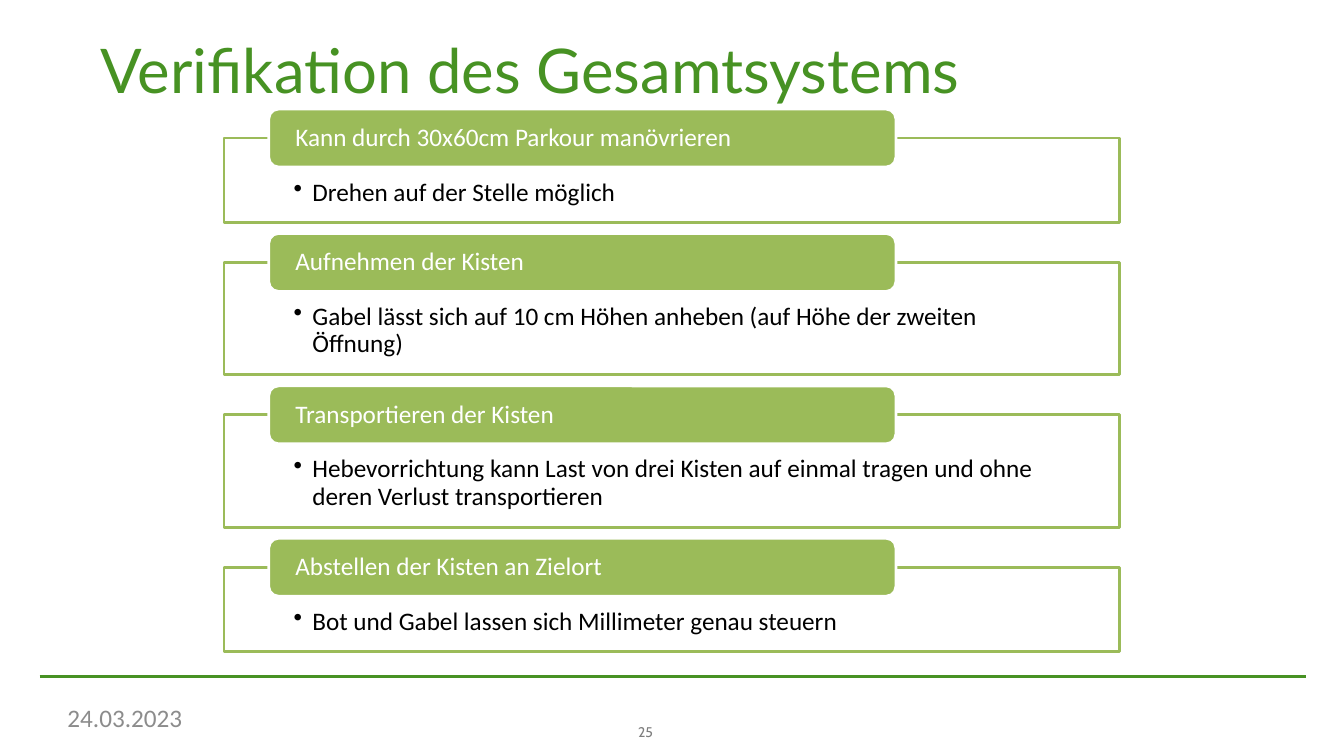
from lxml import etree
from pptx import Presentation
from pptx.dml.color import RGBColor
from pptx.enum import shapes, text
from pptx.oxml import ns
from pptx.util import Pt

TITLE = "Verifikation des Gesamtsystems"
DATE = "24.03.2023"
PAGE = "25"
CHECKS = [
    ("Kann durch 30x60cm Parkour manövrieren", "Drehen auf der Stelle möglich", 1),
    ("Aufnehmen der Kisten",
     "Gabel lässt sich auf 10 cm Höhen anheben (auf Höhe der zweiten Öffnung)", 2),
    ("Transportieren der Kisten",
     "Hebevorrichtung kann Last von drei Kisten auf einmal tragen und ohne "
     "deren Verlust transportieren", 2),
    ("Abstellen der Kisten an Zielort",
     "Bot und Gabel lassen sich Millimeter genau steuern", 1),
]

DARK_GREEN = RGBColor(0x47, 0x92, 0x23)
GREEN = RGBColor(0x9B, 0xBB, 0x59)
WHITE = RGBColor(0xFF, 0xFF, 0xFF)
BLACK = RGBColor(0, 0, 0)
DATE_GREY = RGBColor(0x8C, 0x8C, 0x8C)
PAGE_GREY = RGBColor(0x7E, 0x7E, 0x7E)

DETAIL_LEFT, DETAIL_WIDTH = 160, 640
HEADING_LEFT, HEADING_WIDTH, HEADING_HEIGHT = 192, 448, 41.4
FIRST_TOP, GAP = 98.6, 28.5
ONE_LINE, EXTRA_LINE = 60.35, 20

deck = Presentation()
deck.slide_width, deck.slide_height = Pt(960), Pt(540)
slide = deck.slides.add_slide(deck.slide_layouts[6])


def write(shape, words, size, font, color, insets=(0, 0, 0, 0),
          anchor=text.MSO_ANCHOR.TOP, bullet=False):
    frame = shape.text_frame
    frame.text = words
    frame.word_wrap = True
    frame.vertical_anchor = anchor
    (frame.margin_left, frame.margin_top,
     frame.margin_right, frame.margin_bottom) = map(Pt, insets)
    paragraph = frame.paragraphs[0]
    paragraph.alignment = text.PP_ALIGN.LEFT
    if bullet:
        properties = paragraph._p.get_or_add_pPr()
        properties.set("marL", str(Pt(13.5)))
        properties.set("indent", str(Pt(-13.5)))
        etree.SubElement(properties, ns.qn("a:buChar")).set("char", "•")
    run = paragraph.runs[0]
    run.font.size = Pt(size)
    run.font.name = font
    run.font.color.rgb = color
    return paragraph


def add_label(left, top, width, height, *style):
    write(slide.shapes.add_textbox(Pt(left), Pt(top), Pt(width), Pt(height)), *style)


def add_panel(kind, left, top, width, height, fill, line):
    panel = slide.shapes.add_shape(kind, Pt(left), Pt(top), Pt(width), Pt(height))
    panel.shadow.inherit = False
    panel.fill.solid()
    panel.fill.fore_color.rgb = fill
    panel.line.color.rgb = line
    panel.line.width = Pt(2)
    return panel


footer_rule = slide.shapes.add_connector(
    shapes.MSO_CONNECTOR.STRAIGHT, Pt(28.4), Pt(483), Pt(933), Pt(483))
footer_rule.line.color.rgb = DARK_GREEN
footer_rule.line.width = Pt(2.25)
etree.SubElement(footer_rule._element.spPr, ns.qn("a:effectLst"))

add_label(72, 23, 664, 106, TITLE, 44, "Lato", DARK_GREEN)

top = FIRST_TOP
for heading, detail, lines in CHECKS:
    height = ONE_LINE + EXTRA_LINE * (lines - 1)
    detail_box = add_panel(shapes.MSO_SHAPE.RECTANGLE, DETAIL_LEFT, top,
                           DETAIL_WIDTH, height, WHITE, GREEN)
    white_fill = detail_box._element.spPr.find(".//" + ns.qn("a:srgbClr"))
    etree.SubElement(white_fill, ns.qn("a:alpha")).set("val", "90000")
    write(detail_box, detail, 18, "Calibri", BLACK, (49.7, 29.5, 49.7, 10),
          bullet=True).line_spacing = 0.9

    heading_box = add_panel(shapes.MSO_SHAPE.ROUNDED_RECTANGLE, HEADING_LEFT,
                            top - HEADING_HEIGHT / 2, HEADING_WIDTH,
                            HEADING_HEIGHT, GREEN, WHITE)
    write(heading_box, heading, 18, "Calibri", WHITE, (17, 0, 17, 0),
          text.MSO_ANCHOR.MIDDLE).line_spacing = 0.9
    top += height + GAP

add_label(48.2, 502, 221, 27.4, DATE, 18, "Calibri", DATE_GREY)
add_label(455.8, 517, 39, 13.7, PAGE, 10, "Cabin", PAGE_GREY)

deck.save("out.pptx")
